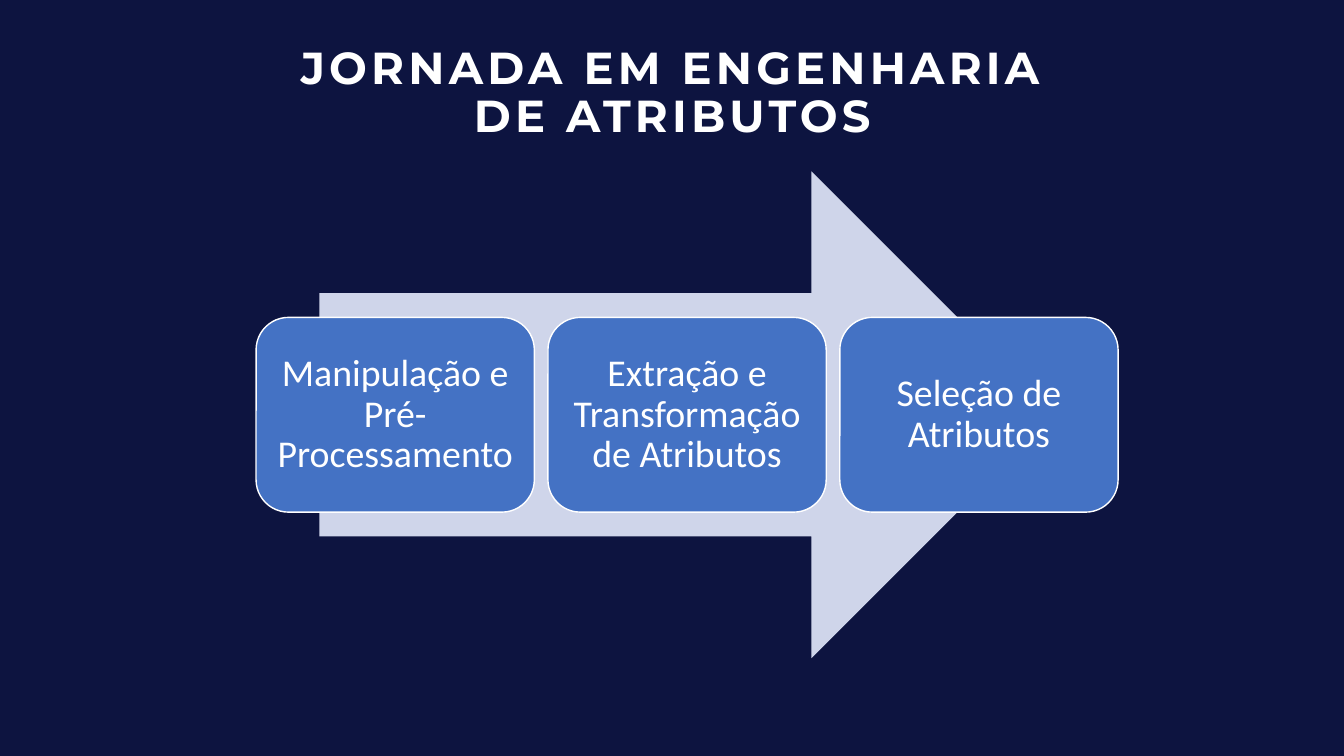
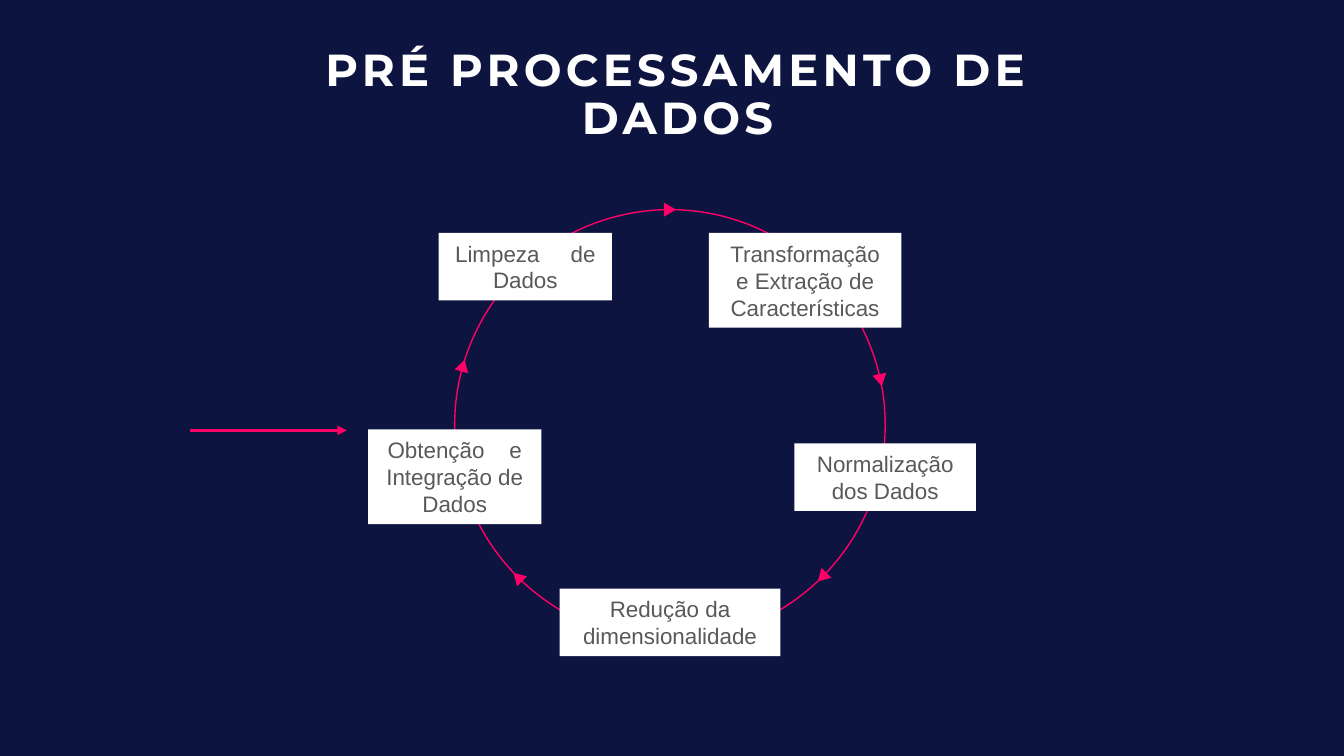
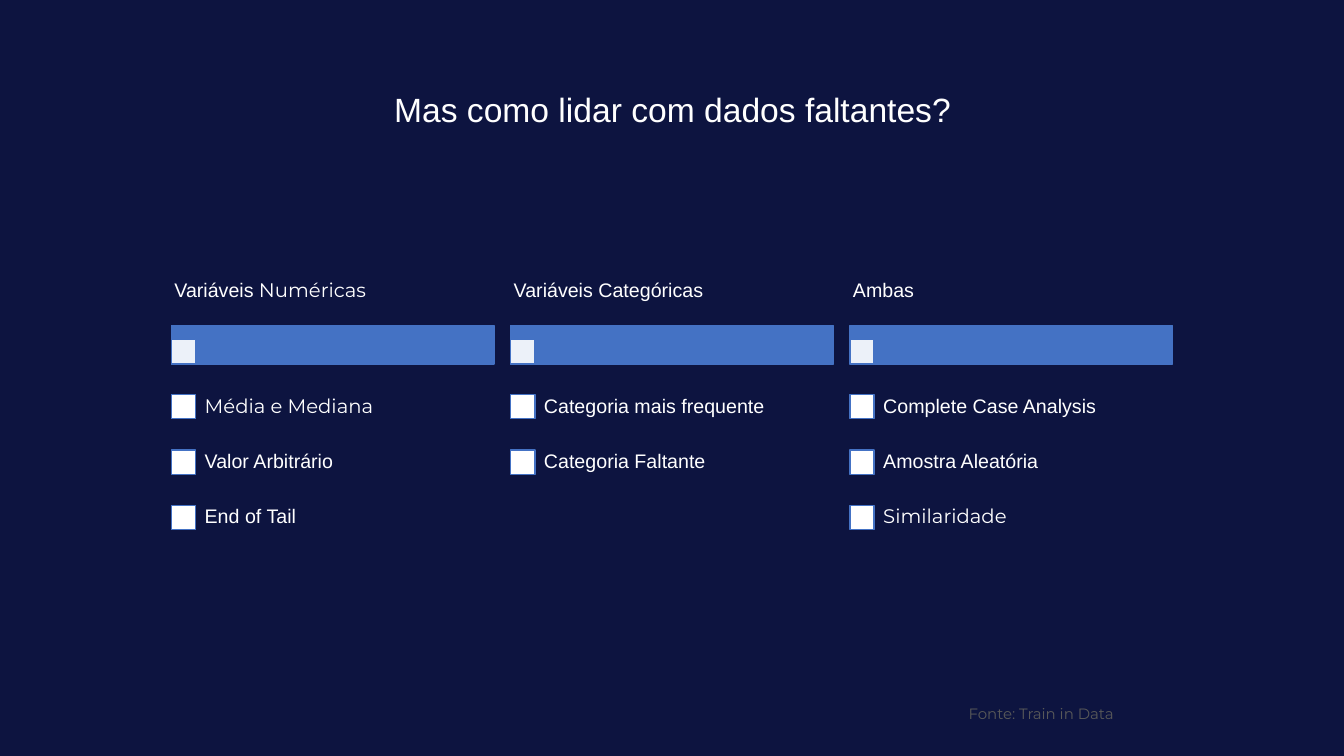
import dataclasses
import math

import lxml.etree
import pptx
import pptx.dml.color
import pptx.enum.shapes
import pptx.enum.text
import pptx.oxml.ns
import pptx.util

Inches = pptx.util.Inches
Pt = pptx.util.Pt
SHAPE = pptx.enum.shapes.MSO_SHAPE
ALIGN = pptx.enum.text.PP_ALIGN
qn = pptx.oxml.ns.qn


@dataclasses.dataclass(frozen=True)
class Theme:
    navy: str = "0D1440"
    white: str = "FFFFFF"
    blue: str = "4472C4"
    pale: str = "CFD5EA"
    pink: str = "FF0066"
    grey: str = "595959"
    heading: str = "Montserrat"
    body: str = "Arial"
    step: str = "Calibri"
    title_size: float = 32
    question_size: float = 24
    step_size: float = 27
    card_size: float = 16
    list_size: float = 14
    source_size: float = 10.7
    title_spacing: float = 3


@dataclasses.dataclass(frozen=True)
class Span:
    """A piece of a paragraph with its own font or letter spacing in points."""
    text: str
    font: str = ""
    spacing: float = 0


THEME = Theme()
BREAK = Span("\v")


def rgb(color):
    return pptx.dml.color.RGBColor.from_string(color)


def write(tf, label, size, font=THEME.body, color=THEME.white, align=ALIGN.CENTER,
          bold=False, line_spacing=None, insets=(0.1, 0.05)):
    """Fill a frame with one paragraph; label is a string or a list of spans."""
    tf.word_wrap = True
    tf.auto_size = pptx.enum.text.MSO_AUTO_SIZE.NONE
    tf.vertical_anchor = pptx.enum.text.MSO_ANCHOR.MIDDLE
    tf.margin_left = tf.margin_right = Inches(insets[0])
    tf.margin_top = tf.margin_bottom = Inches(insets[1])
    p = tf.paragraphs[0]
    p.alignment = align
    if line_spacing:
        p.line_spacing = line_spacing
    for span in [Span(label)] if isinstance(label, str) else label:
        if span == BREAK:
            p.add_line_break()
            continue
        r = p.add_run()
        r.text = span.text
        r.font.name = span.font or font
        r.font.size = Pt(size)
        r.font.bold = bold
        r.font.color.rgb = rgb(color)
        if span.spacing:
            r._r.get_or_add_rPr().set("spc", str(round(span.spacing * 100)))


def add_shape(s, kind, left, top, width, height, fill=None, line=None):
    sp = s.shapes.add_shape(kind, Inches(left), Inches(top), Inches(width), Inches(height))
    sp.shadow.inherit = False
    if fill:
        sp.fill.solid()
        sp.fill.fore_color.rgb = rgb(fill)
    else:
        sp.fill.background()
    if line:
        sp.line.color.rgb = rgb(line)
        sp.line.width = Pt(1)
    else:
        sp.line.fill.background()
    return sp


def add_text(s, left, top, width, height, label, size, **style):
    sp = s.shapes.add_textbox(Inches(left), Inches(top), Inches(width), Inches(height))
    write(sp.text_frame, label, size, **style)


def add_titled_slide(prs, left, top, width, height, label, size, **style):
    s = prs.slides.add_slide(prs.slide_layouts[5])
    sp = s.shapes.title
    sp.left, sp.top = Inches(left), Inches(top)
    sp.width, sp.height = Inches(width), Inches(height)
    write(sp.text_frame, label, size, **style)
    return s


def add_caps_slide(prs, left, top, title):
    return add_titled_slide(prs, left, top, 7.72, 0.55,
                            [Span(title, spacing=THEME.title_spacing)], THEME.title_size,
                            font=THEME.heading, bold=True, line_spacing=0.9)


def add_process_arrow(s, left, top, width, height, steps):
    """Wide arrow behind a row of step boxes."""
    arrow_width = width * 0.853
    add_shape(s, SHAPE.RIGHT_ARROW, left + (width - arrow_width) / 2, top,
              arrow_width, height, THEME.pale)
    gap = 0.135
    step_width = (width - gap * (len(steps) - 1)) / len(steps)
    step_height = height * 0.4
    for i, step in enumerate(steps):
        sp = add_shape(s, SHAPE.ROUNDED_RECTANGLE, left + i * (step_width + gap),
                       top + (height - step_height) / 2, step_width, step_height,
                       THEME.blue, THEME.white)
        write(sp.text_frame, step, THEME.step_size, font=THEME.step,
              line_spacing=0.9, insets=(0.11, 0.11))


def add_cycle(s, left, top, diameter, arrow_angles, cards):
    """Ring with clockwise arrowheads (degrees from the top) and cards over it."""
    add_shape(s, SHAPE.OVAL, left, top, diameter, diameter, line=THEME.pink)
    radius = diameter / 2
    head_width, head_height = 0.14, 0.12
    for angle in arrow_angles:
        x = left + radius + radius * math.sin(math.radians(angle))
        y = top + radius - radius * math.cos(math.radians(angle))
        sp = add_shape(s, SHAPE.ISOSCELES_TRIANGLE, x - head_width / 2, y - head_height / 2,
                       head_width, head_height, THEME.pink)
        sp.rotation = (angle + 90) % 360
    for dx, dy, width, height, label in cards:
        sp = add_shape(s, SHAPE.RECTANGLE, left + dx, top + dy, width, height, THEME.white)
        write(sp.text_frame, label, THEME.card_size, color=THEME.grey, insets=(0.13, 0.07))


def add_entry_arrow(s, left, top, width):
    cx = s.shapes.add_connector(pptx.enum.shapes.MSO_CONNECTOR.STRAIGHT, Inches(left),
                                Inches(top), Inches(left + width), Inches(top))
    cx.line.color.rgb = rgb(THEME.pink)
    cx.line.width = Pt(2.25)
    spPr = cx.element.spPr
    lxml.etree.SubElement(spPr.find(qn("a:ln")), qn("a:tailEnd"), type="triangle")
    lxml.etree.SubElement(spPr, qn("a:effectLst"))


def add_checklist(s, left, top, width, heading, items):
    """Heading, bar and a column of square-marked items."""
    head_height, bar_height, mark, row = 0.68, 0.38, 0.24, 0.55
    style = {"align": ALIGN.LEFT, "line_spacing": 0.9}
    bar_top = top + head_height
    add_shape(s, SHAPE.RECTANGLE, left, bar_top, width, bar_height, THEME.blue, THEME.blue)
    sp = add_shape(s, SHAPE.RECTANGLE, left, bar_top + bar_height - mark, mark, mark,
                   THEME.white, THEME.blue)
    color = sp.element.spPr.find(qn("a:solidFill")).find(qn("a:srgbClr"))
    lxml.etree.SubElement(color, qn("a:alpha"), val="90000")
    add_text(s, left, top, width, head_height, heading, THEME.list_size,
             insets=(0.03, 0.02), **style)
    for i, item in enumerate(items):
        y = bar_top + bar_height + 0.15 + i * row
        add_shape(s, SHAPE.RECTANGLE, left, y + (row - mark) / 2, mark, mark,
                  THEME.white, THEME.blue)
        add_text(s, left + 0.22, y, width - 0.22, row, item, THEME.list_size,
                 insets=(0.11, 0.11), **style)


def add_checklists(s, left, top, width, columns):
    gap = 0.165
    column_width = (width - gap * (len(columns) - 1)) / len(columns)
    for i, (heading, items) in enumerate(columns):
        add_checklist(s, left + i * (column_width + gap), top, column_width, heading, items)


def build_journey(prs):
    s = add_caps_slide(prs, 2.81, 0.66, "JORNADA EM ENGENHARIA DE ATRIBUTOS")
    add_process_arrow(s, 2.54, 1.7, 8.55, 4.83, [
        "Manipulação e Pré-Processamento",
        "Extração e Transformação de Atributos",
        "Seleção de Atributos",
    ])


def build_preprocessing(prs):
    s = add_caps_slide(prs, 2.86, 0.68, "PRÉ PROCESSAMENTO DE DADOS")
    two_lines, three_lines = 0.67, 0.94
    add_cycle(s, 4.51, 2.08, 4.27, (0, 78, 135, 225, 286), [
        (-0.16, 0.23, 1.72, two_lines,
         [Span("Limpeza"), Span(" ", spacing=17.8), Span("de Dados")]),
        (2.52, 0.23, 1.91, three_lines,
         [Span("Transformação"), BREAK, Span("e Extração de Características")]),
        (-0.86, 2.18, 1.72, three_lines,
         [Span("Obtenção"), Span(" ", spacing=13.3), Span("e Integração de Dados")]),
        (1.04, 3.76, 2.19, two_lines, "Redução da dimensionalidade"),
        (3.37, 2.32, 1.8, two_lines, "Normalização dos Dados"),
    ])
    add_entry_arrow(s, 1.88, 4.27, 1.56)


def build_missing_data(prs):
    s = add_titled_slide(prs, 1.37, 0.83, 10.6, 0.5, "Mas como lidar com dados faltantes?",
                         THEME.question_size)
    add_text(s, 9.51, 6.94, 3.6, 0.28, "Fonte: Train in Data", THEME.source_size,
             font=THEME.heading, color=THEME.grey, align=ALIGN.LEFT)
    add_checklists(s, 1.7, 2.55, 9.93, [
        ([Span("Variáveis"), Span(" Numéricas", THEME.heading)],
         [[Span("Média e Mediana", THEME.heading)], "Valor Arbitrário", "End of Tail"]),
        ("Variáveis Categóricas", ["Categoria mais frequente", "Categoria Faltante"]),
        ("Ambas", ["Complete Case Analysis", "Amostra Aleatória",
                   [Span("Similaridade", THEME.heading)]]),
    ])


def main():
    prs = pptx.Presentation()
    prs.slide_width, prs.slide_height = Inches(13.33), Inches(7.5)
    background = prs.slide_master.background.fill
    background.solid()
    background.fore_color.rgb = rgb(THEME.navy)
    build_journey(prs)
    build_preprocessing(prs)
    build_missing_data(prs)
    prs.save("out.pptx")


if __name__ == "__main__":
    main()
